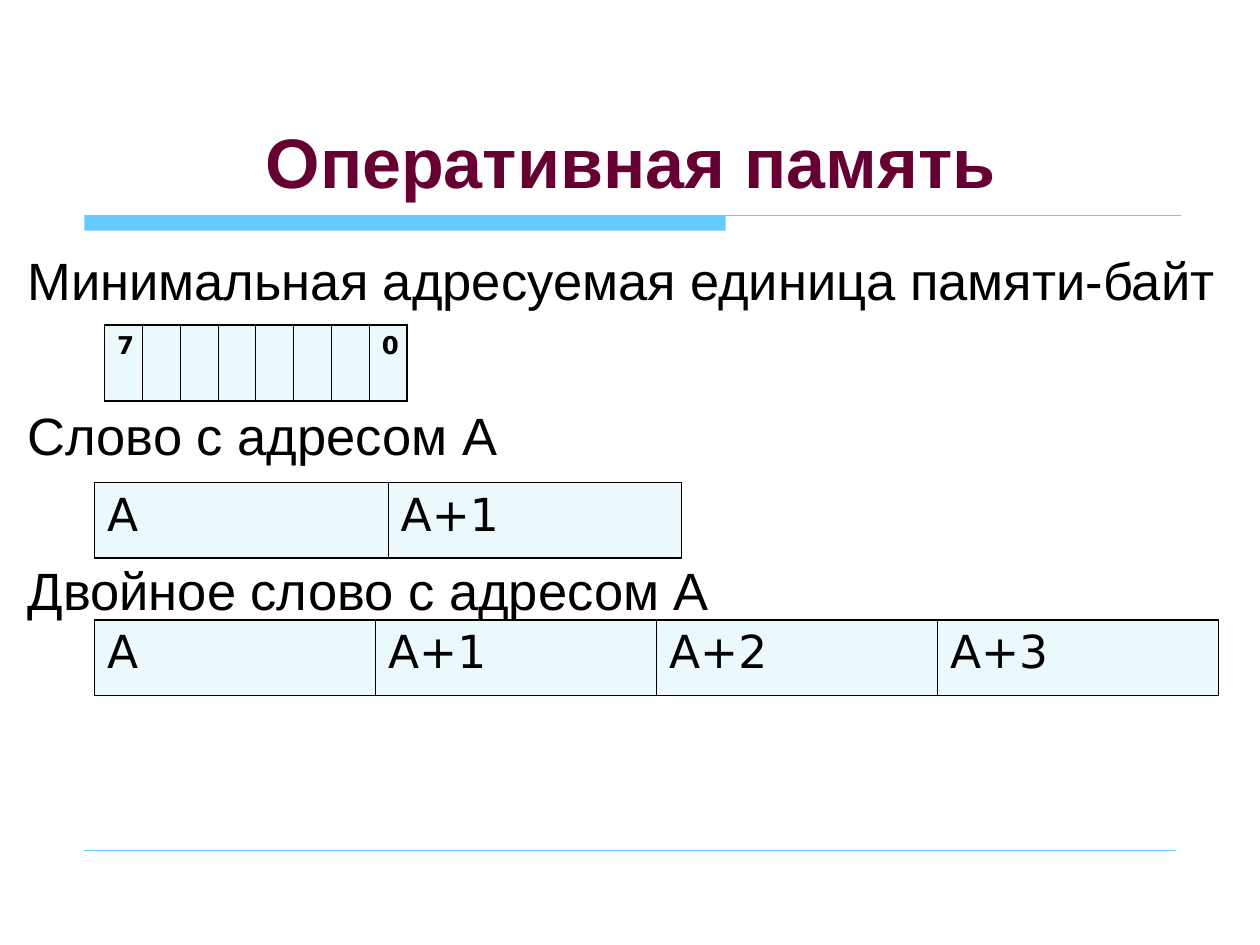
from dataclasses import dataclass

from lxml import etree
from pptx import Presentation
from pptx.dml.color import RGBColor
from pptx.enum import shapes, text
from pptx.oxml import ns
from pptx.util import Inches, Pt


@dataclass(frozen=True)
class Theme:
    accent: str = "66CCFF"
    heading: str = "660033"
    ink: str = "000000"
    cell: str = "ECF9FC"
    prose_font: str = "Arial"
    cell_font: str = "DejaVu Sans"
    heading_size: float = 40
    prose_size: float = 30
    address_size: float = 26
    bit_size: float = 14
    statement_gap: float = 52.4
    outer_border: float = 1.08
    inner_border: float = 0.45


@dataclass(frozen=True)
class MemoryUnit:
    left: float
    top: float
    cell_width: float
    labels: tuple[str, ...]
    size: float
    bold: bool = False


THEME = Theme()
ROW_HEIGHT = 0.6
STATEMENTS = (
    "Минимальная адресуемая единица памяти-байт",
    "Слово с адресом А",
    "Двойное слово с адресом А",
)
UNITS = (
    MemoryUnit(0.75, 3.83, 2.33, ("А", "А+1"), THEME.address_size),
    MemoryUnit(0.83, 2.58, 0.3, ("7", *[""] * 6, "0"), THEME.bit_size, True),
    MemoryUnit(0.75, 4.92, 2.23, ("А", "А+1", "А+2", "А+3"), THEME.address_size),
)


def add_run(paragraph, words: str, font: str, size: float, color: str, bold: bool = False) -> None:
    run = paragraph.add_run()
    run.text = words
    run.font.name = font
    run.font.size = Pt(size)
    run.font.bold = bold
    run.font.color.rgb = RGBColor.from_string(color)


def add_rule(slide, left: float, right: float, y: float, weight: float) -> None:
    rule = slide.shapes.add_connector(
        shapes.MSO_CONNECTOR.STRAIGHT, Inches(left), Inches(y), Inches(right), Inches(y)
    )
    rule.line.color.rgb = RGBColor.from_string(THEME.accent)
    rule.line.width = Pt(weight)
    etree.SubElement(rule._element.spPr, ns.qn("a:effectLst"))


def add_heading(slide, words: str) -> None:
    heading = slide.shapes.title
    heading.left, heading.top = Inches(0.63), Inches(0.33)
    heading.width, heading.height = Inches(8.75), Inches(1.33)
    frame = heading.text_frame
    frame.vertical_anchor = text.MSO_ANCHOR.BOTTOM
    paragraph = frame.paragraphs[0]
    paragraph.alignment = text.PP_ALIGN.CENTER
    add_run(paragraph, words, THEME.prose_font, THEME.heading_size, THEME.heading, True)


def add_accent_bar(slide) -> None:
    bar = slide.shapes.add_shape(
        shapes.MSO_SHAPE.RECTANGLE, Inches(0.67), Inches(1.71), Inches(5.09), Inches(0.12)
    )
    bar.shadow.inherit = False
    bar.fill.solid()
    bar.fill.fore_color.rgb = RGBColor.from_string(THEME.accent)
    bar.line.fill.background()


def add_statements(slide) -> None:
    body = slide.shapes.add_textbox(Inches(0.12), Inches(1.92), Inches(9.88), Inches(4.67))
    frame = body.text_frame
    frame.word_wrap = True
    for index, statement in enumerate(STATEMENTS):
        paragraph = frame.add_paragraph() if index else frame.paragraphs[0]
        paragraph.space_before = Pt(THEME.statement_gap if index else 0)
        add_run(paragraph, statement, THEME.prose_font, THEME.prose_size, THEME.ink)


def add_border(cell, side: str, weight: float) -> None:
    properties = cell._tc.get_or_add_tcPr()
    border = etree.SubElement(properties, ns.qn(f"a:ln{side}"), w=str(Pt(weight)))
    fill = etree.SubElement(border, ns.qn("a:solidFill"))
    etree.SubElement(fill, ns.qn("a:srgbClr"), val=THEME.ink)


def add_memory_unit(slide, unit: MemoryUnit) -> None:
    count = len(unit.labels)
    table = slide.shapes.add_table(
        1, count, Inches(unit.left), Inches(unit.top),
        Inches(unit.cell_width * count), Inches(ROW_HEIGHT),
    ).table
    table.first_row = table.horz_banding = False
    for index, label in enumerate(unit.labels):
        table.columns[index].width = Inches(unit.cell_width)
        cell = table.cell(0, index)
        outer, inner = THEME.outer_border, THEME.inner_border
        add_border(cell, "L", outer if index == 0 else inner)
        add_border(cell, "R", outer if index == count - 1 else inner)
        add_border(cell, "T", outer)
        add_border(cell, "B", outer)
        cell.fill.solid()
        cell.fill.fore_color.rgb = RGBColor.from_string(THEME.cell)
        if label:
            paragraph = cell.text_frame.paragraphs[0]
            add_run(paragraph, label, THEME.cell_font, unit.size, THEME.ink, unit.bold)


def main() -> None:
    deck = Presentation()
    deck.slide_width, deck.slide_height = Inches(10), Inches(7.5)
    slide = deck.slides.add_slide(deck.slide_layouts[5])
    add_accent_bar(slide)
    add_rule(slide, 0.67, 9.37, 1.71, 0.75)
    add_rule(slide, 0.67, 9.33, 6.75, 0.25)
    add_heading(slide, "Оперативная память")
    add_statements(slide)
    for unit in UNITS:
        add_memory_unit(slide, unit)
    deck.save("out.pptx")


if __name__ == "__main__":
    main()
